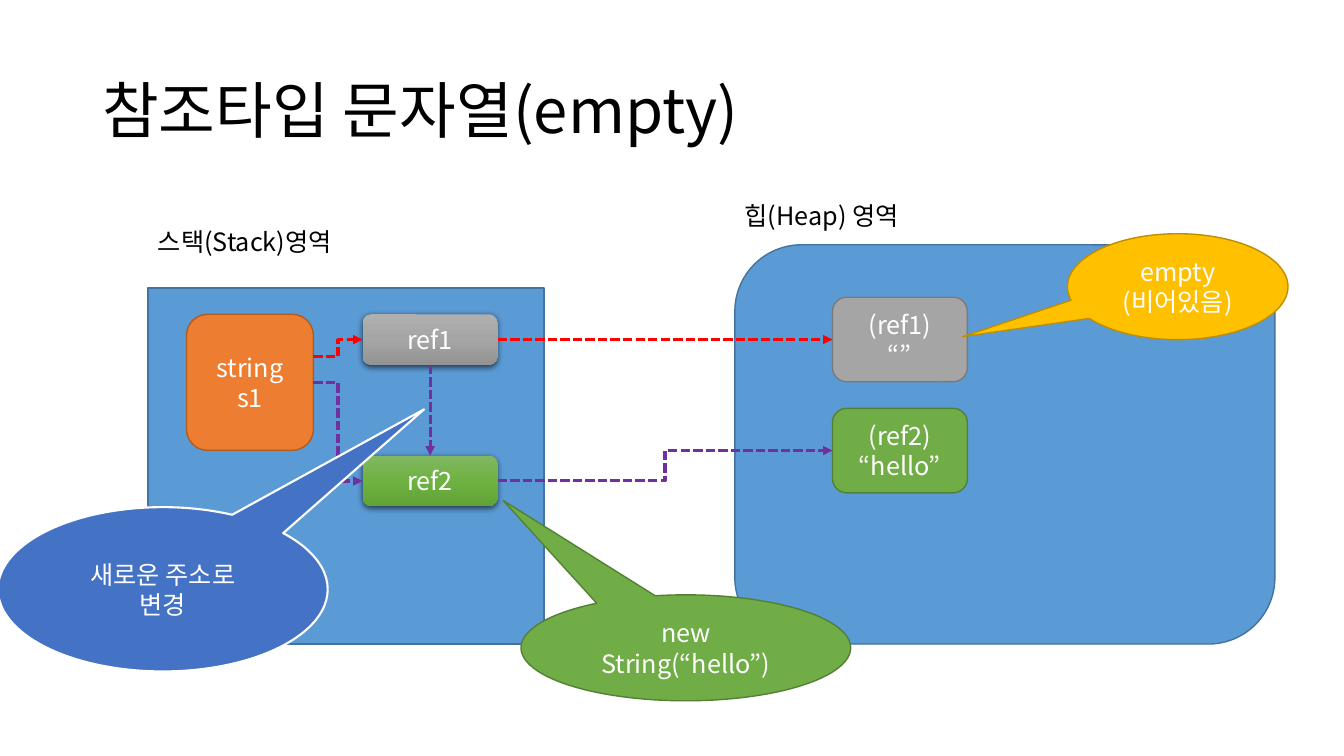
import pptx
import pptx.util
import pptx.dml.color
import pptx.enum.dml
import pptx.enum.shapes
import pptx.enum.text
import pptx.oxml.ns
import lxml.etree

Cm = pptx.util.Cm
Pt = pptx.util.Pt
RGBColor = pptx.dml.color.RGBColor
SHAPE = pptx.enum.shapes.MSO_SHAPE
CONNECTOR = pptx.enum.shapes.MSO_CONNECTOR
ALIGN = pptx.enum.text.PP_ALIGN
ANCHOR = pptx.enum.text.MSO_ANCHOR
qn = pptx.oxml.ns.qn

FONT = "Noto Sans CJK KR"
BLACK = RGBColor(0x00, 0x00, 0x00)
WHITE = RGBColor(0xFF, 0xFF, 0xFF)
AREA_BLUE = RGBColor(0x5B, 0x9B, 0xD5)
AREA_EDGE = RGBColor(0x43, 0x73, 0x9E)
ORANGE = RGBColor(0xED, 0x7D, 0x31)
ORANGE_EDGE = RGBColor(0xAF, 0x5C, 0x24)
GRAY = RGBColor(0xA5, 0xA5, 0xA5)
GRAY_EDGE = RGBColor(0x7A, 0x7A, 0x7A)
GREEN = RGBColor(0x70, 0xAD, 0x47)
GREEN_EDGE = RGBColor(0x53, 0x80, 0x35)
GOLD = RGBColor(0xFF, 0xC0, 0x00)
GOLD_EDGE = RGBColor(0xBD, 0x8E, 0x00)
BLUE = RGBColor(0x44, 0x72, 0xC4)
RED = RGBColor(0xFF, 0x00, 0x00)
PURPLE = RGBColor(0x70, 0x30, 0xA0)
GRAY_SHADES = (RGBColor(0xAF, 0xAF, 0xAF), GRAY, RGBColor(0x93, 0x93, 0x93))
GREEN_SHADES = (RGBColor(0x81, 0xB8, 0x61), RGBColor(0x6F, 0xB2, 0x42),
                RGBColor(0x62, 0xA3, 0x36))

LEFT, RIGHT, TOP, BOTTOM = 1, 3, 0, 2


def add_xml(parent, tag, **attributes):
    return lxml.etree.SubElement(parent, qn(tag), attributes)


def write(frame, text, size=18, color=WHITE, align=ALIGN.CENTER,
          anchor=ANCHOR.MIDDLE, spacing=None):
    frame.word_wrap = True
    frame.vertical_anchor = anchor
    for index, line in enumerate(text.split("\n")):
        paragraph = frame.add_paragraph() if index else frame.paragraphs[0]
        paragraph.alignment = align
        paragraph.line_spacing = spacing
        run = paragraph.add_run()
        run.text = line
        run.font.size = Pt(size)
        run.font.name = FONT
        run.font.color.rgb = color
        add_xml(run.font._element, "a:ea", typeface=FONT)


def add_label(slide, box, text, **text_format):
    label = slide.shapes.add_textbox(*map(Cm, box))
    write(label.text_frame, text, color=BLACK, align=ALIGN.LEFT, **text_format)


def add_block(slide, kind, box, fill, edge, text="", edge_width=1):
    block = slide.shapes.add_shape(kind, *map(Cm, box))
    block.shadow.inherit = False
    block.fill.solid()
    block.fill.fore_color.rgb = fill
    block.line.color.rgb = edge
    block.line.width = Pt(edge_width)
    if text:
        write(block.text_frame, text)
    return block


def add_reference(slide, box, shades, text):
    """Raised stack entry with a three-stop gradient and a soft shadow."""
    reference = slide.shapes.add_shape(SHAPE.ROUNDED_RECTANGLE, *map(Cm, box))
    reference.line.fill.background()
    reference.fill.gradient()
    reference.fill.gradient_angle = 270
    properties = reference._element.spPr
    stops = properties.find(".//" + qn("a:gsLst"))
    for stop in list(stops):
        stops.remove(stop)
    for index, shade in enumerate(shades):
        stop = add_xml(stops, "a:gs", pos=str(index * 50000))
        add_xml(stop, "a:srgbClr", val=str(shade))

    reference.shadow.inherit = False
    shadow = add_xml(properties.find(qn("a:effectLst")), "a:outerShdw",
                     blurRad=str(Pt(4.5)), dist=str(Pt(1.5)), dir="5400000",
                     algn="ctr", rotWithShape="0")
    add_xml(add_xml(shadow, "a:srgbClr", val="000000"), "a:alpha", val="63000")
    write(reference.text_frame, text)
    return reference


def add_callout(slide, box, tip, fill, edge, text, edge_width=1):
    callout = add_block(slide, SHAPE.OVAL_CALLOUT, box, fill, edge, text, edge_width)
    callout.adjustments[0], callout.adjustments[1] = tip


def add_arrow(slide, kind, color, points=(0, 0, 0, 0), begin=None, end=None):
    arrow = slide.shapes.add_connector(kind, *map(Cm, points))
    if begin:
        arrow.begin_connect(*begin)
    if end:
        arrow.end_connect(*end)
    arrow.line.color.rgb = color
    arrow.line.width = Pt(2.25)
    arrow.line.dash_style = pptx.enum.dml.MSO_LINE.SQUARE_DOT
    properties = arrow._element.spPr
    add_xml(properties.find(qn("a:ln")), "a:tailEnd", type="triangle")
    add_xml(properties, "a:effectLst")


def main():
    deck = pptx.Presentation()
    deck.slide_width, deck.slide_height = Cm(33.87), Cm(19.05)
    slide = deck.slides.add_slide(deck.slide_layouts[6])

    # Title and memory areas
    add_label(slide, (2.33, 1.01, 29.21, 3.68), "참조타입 문자열(empty)",
              size=44, spacing=0.9)
    add_block(slide, SHAPE.ROUNDED_RECTANGLE, (18.52, 6.17, 13.61, 10.06),
              AREA_BLUE, AREA_EDGE)
    add_block(slide, SHAPE.RECTANGLE, (3.73, 7.26, 9.98, 8.97), AREA_BLUE, AREA_EDGE)
    add_label(slide, (3.73, 5.59, 5.51, 1.02), "스택(Stack)영역", anchor=ANCHOR.TOP)
    add_label(slide, (18.52, 4.93, 6.98, 1.02), "힙(Heap) 영역", anchor=ANCHOR.TOP)

    # Variable, its references and the heap values
    add_block(slide, SHAPE.ROUNDED_RECTANGLE, (4.7, 7.92, 3.2, 3.43),
              ORANGE, ORANGE_EDGE, "string s1")
    ref1 = add_reference(slide, (9.14, 7.92, 3.4, 1.27), GRAY_SHADES, "ref1")
    ref2 = add_reference(slide, (9.14, 11.48, 3.4, 1.27), GREEN_SHADES, "ref2")
    empty_value = add_block(slide, SHAPE.ROUNDED_RECTANGLE, (20.98, 7.49, 3.4, 2.13),
                            GRAY, GRAY_EDGE, "(ref1)\n“”")
    hello_value = add_block(slide, SHAPE.ROUNDED_RECTANGLE, (20.98, 10.29, 3.4, 2.13),
                            GREEN, GREEN_EDGE, "(ref2)\n“hello”")

    # Arrows: red for the first address, purple for the new one
    add_arrow(slide, CONNECTOR.ELBOW, RED, (7.9, 8.99, 9.14, 8.56))
    add_arrow(slide, CONNECTOR.ELBOW, PURPLE, (7.9, 9.65, 9.14, 12.12))
    add_arrow(slide, CONNECTOR.STRAIGHT, RED,
              begin=(ref1, RIGHT), end=(empty_value, LEFT))
    add_arrow(slide, CONNECTOR.ELBOW, PURPLE,
              begin=(ref2, RIGHT), end=(hello_value, LEFT))
    add_arrow(slide, CONNECTOR.STRAIGHT, PURPLE,
              begin=(ref1, BOTTOM), end=(ref2, TOP))

    # Callouts
    add_callout(slide, (26.9, 5.89, 5.56, 2.67), (-0.974, 0.471),
                GOLD, GOLD_EDGE, "empty\n(비어있음)")
    add_callout(slide, (13.13, 14.99, 8.31, 2.67), (-0.554, -1.391),
                GREEN, GREEN_EDGE, "new String(“hello”)")
    add_callout(slide, (-0.05, 12.78, 8.31, 4.14), (0.792, -1.095),
                BLUE, WHITE, "새로운 주소로\n변경", edge_width=1.5)

    deck.save("out.pptx")


if __name__ == "__main__":
    main()
